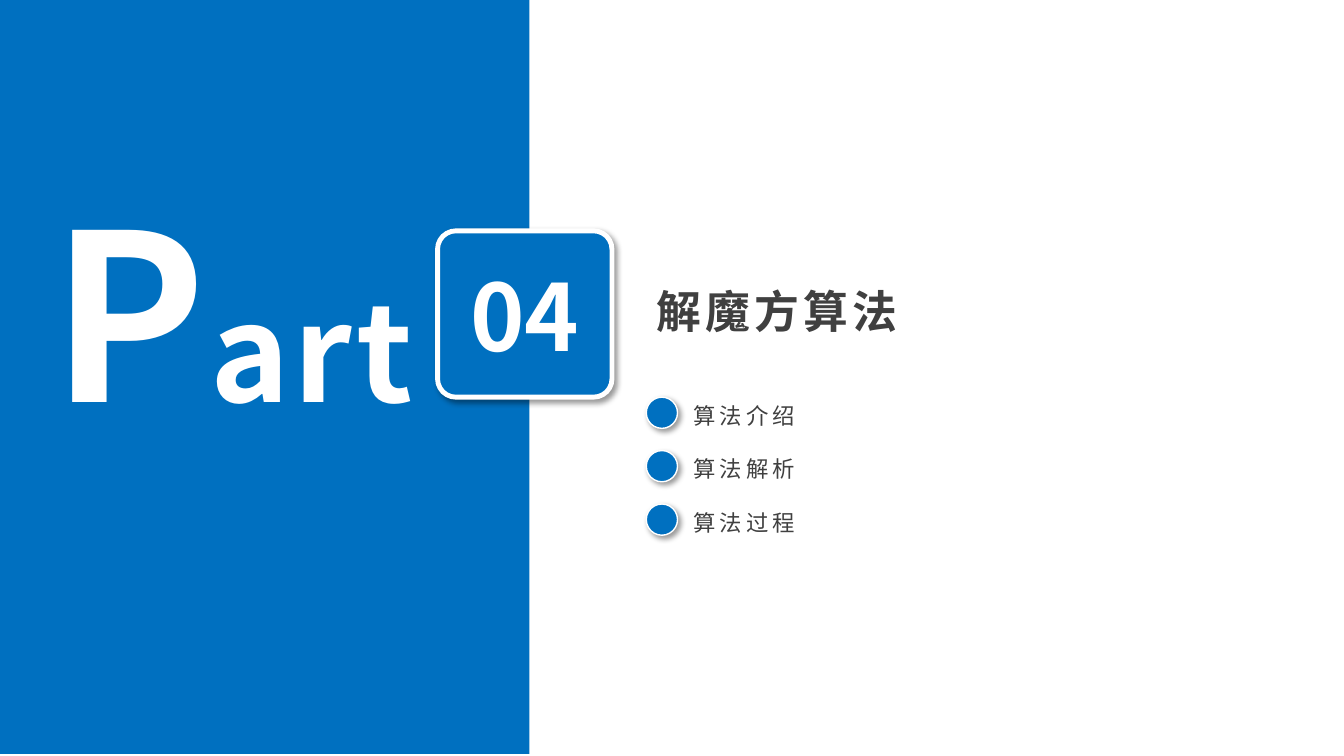
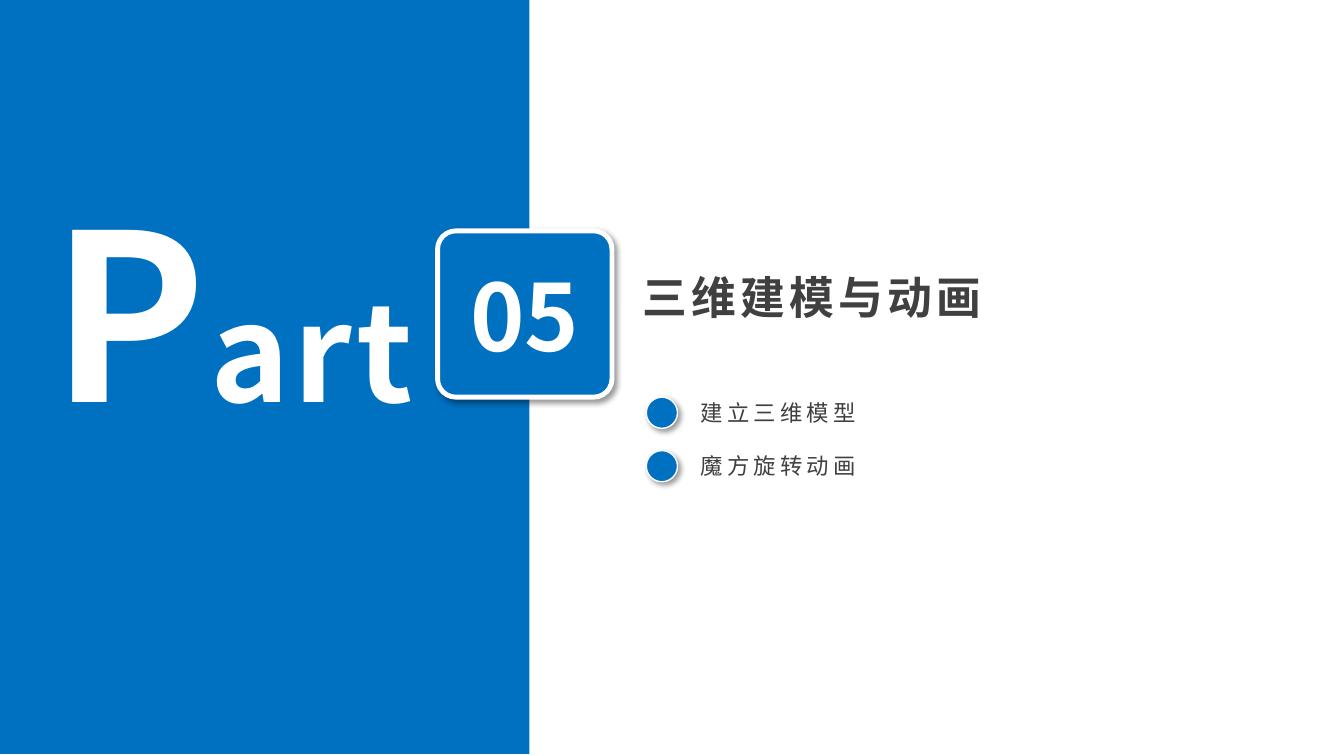
from lxml.etree import SubElement
from pptx import Presentation
from pptx.dml.color import RGBColor
from pptx.enum.shapes import MSO_SHAPE
from pptx.enum.text import MSO_AUTO_SIZE, PP_ALIGN
from pptx.oxml.ns import qn
from pptx.util import Inches, Pt

BLUE, WHITE, GRAY, BLACK = "0070C0", "FFFFFF", "404040", "000000"
FONT = "Noto Sans CJK SC"
DOT_LEFT, DOT_TOP, DOT_SIZE, ROW_STEP = 6.41, 3.94, 0.31, 0.53

SECTIONS = [
    {
        "number": "04",
        "title": "解魔方算法",
        "title_at": (6.41, 2.77),
        "topics": ["算法介绍", "算法解析", "算法过程"],
        "topics_at": (6.78, 3.94),
    },
    {
        "number": "05",
        "title": "三维建模与动画",
        "title_at": (6.27, 2.63),
        "topics": ["建立三维模型", "魔方旋转动画"],
        "topics_at": (6.85, 3.91),
    },
]


def color(hex_string):
    return RGBColor.from_string(hex_string)


def add_shadow(shape):
    """Give the shape a soft black shadow towards the lower right."""
    effects = shape._element.spPr.find(qn("a:effectLst"))
    shadow = SubElement(effects, qn("a:outerShdw"), blurRad=str(Pt(4)),
                        dist=str(Pt(3)), dir=str(45 * 60000),
                        algn="tl", rotWithShape="0")
    shadow_color = SubElement(shadow, qn("a:srgbClr"), val=BLACK)
    SubElement(shadow_color, qn("a:alpha"), val="40000")


def add_blue_shape(shapes, kind, left, top, width, height, line_width=None):
    """Add a blue shape; with a line width it gets a white edge and a shadow."""
    shape = shapes.add_shape(kind, Inches(left), Inches(top),
                             Inches(width), Inches(height))
    shape.fill.solid()
    shape.fill.fore_color.rgb = color(BLUE)
    shape.shadow.inherit = False
    if line_width:
        shape.line.color.rgb = color(WHITE)
        shape.line.width = Pt(line_width)
        add_shadow(shape)
    else:
        shape.line.fill.background()
    return shape


def add_text(shapes, runs, left, top, width, height, font_color=GRAY,
             bold=False, align=PP_ALIGN.LEFT, spacing=3):
    """Add one paragraph from (text, size) runs; spacing is in points."""
    box = shapes.add_textbox(Inches(left), Inches(top),
                             Inches(width), Inches(height))
    frame = box.text_frame
    frame.word_wrap = True
    frame.auto_size = MSO_AUTO_SIZE.SHAPE_TO_FIT_TEXT
    paragraph = frame.paragraphs[0]
    paragraph.alignment = align
    for text, size in runs:
        run = paragraph.add_run()
        run.text = text
        run.font.size = Pt(size)
        run.font.bold = bold
        run.font.name = FONT
        run.font.color.rgb = color(font_color)
        properties = run._r.get_or_add_rPr()
        properties.set("spc", str(spacing * 100))
        SubElement(properties, qn("a:ea"), typeface=FONT)


def add_part_panel(slide, number):
    heading = {"font_color": WHITE, "bold": True, "align": PP_ALIGN.CENTER}
    add_blue_shape(slide.shapes, MSO_SHAPE.RECTANGLE, 0, -0.02, 5.25, 7.5)
    add_text(slide.shapes, [("P", 166), ("art", 96)],
             -0.83, 1.64, 6.27, 2.89, **heading)
    badge = slide.shapes.add_group_shape().shapes
    tile = add_blue_shape(badge, MSO_SHAPE.ROUNDED_RECTANGLE,
                          4.34, 2.29, 1.73, 1.65, line_width=3.5)
    tile.adjustments[0] = 0.11
    add_text(badge, [(number, 66)], 4.28, 2.52, 1.85, 1.21,
             spacing=0, **heading)


def add_topics(slide, topics, left, top):
    for row, topic in enumerate(topics):
        offset = row * ROW_STEP
        add_blue_shape(slide.shapes, MSO_SHAPE.OVAL, DOT_LEFT,
                       DOT_TOP + offset, DOT_SIZE, DOT_SIZE, line_width=1)
        add_text(slide.shapes, [(topic, 16)], left, top + offset, 2.24, 0.37)


def main():
    presentation = Presentation()
    presentation.slide_width = Inches(13.33)
    presentation.slide_height = Inches(7.5)
    for section in SECTIONS:
        slide = presentation.slides.add_slide(presentation.slide_layouts[6])
        add_part_panel(slide, section["number"])
        add_text(slide.shapes, [(section["title"], 32)],
                 *section["title_at"], 3.79, 0.64, bold=True)
        add_topics(slide, section["topics"], *section["topics_at"])
    presentation.save("out.pptx")


if __name__ == "__main__":
    main()
